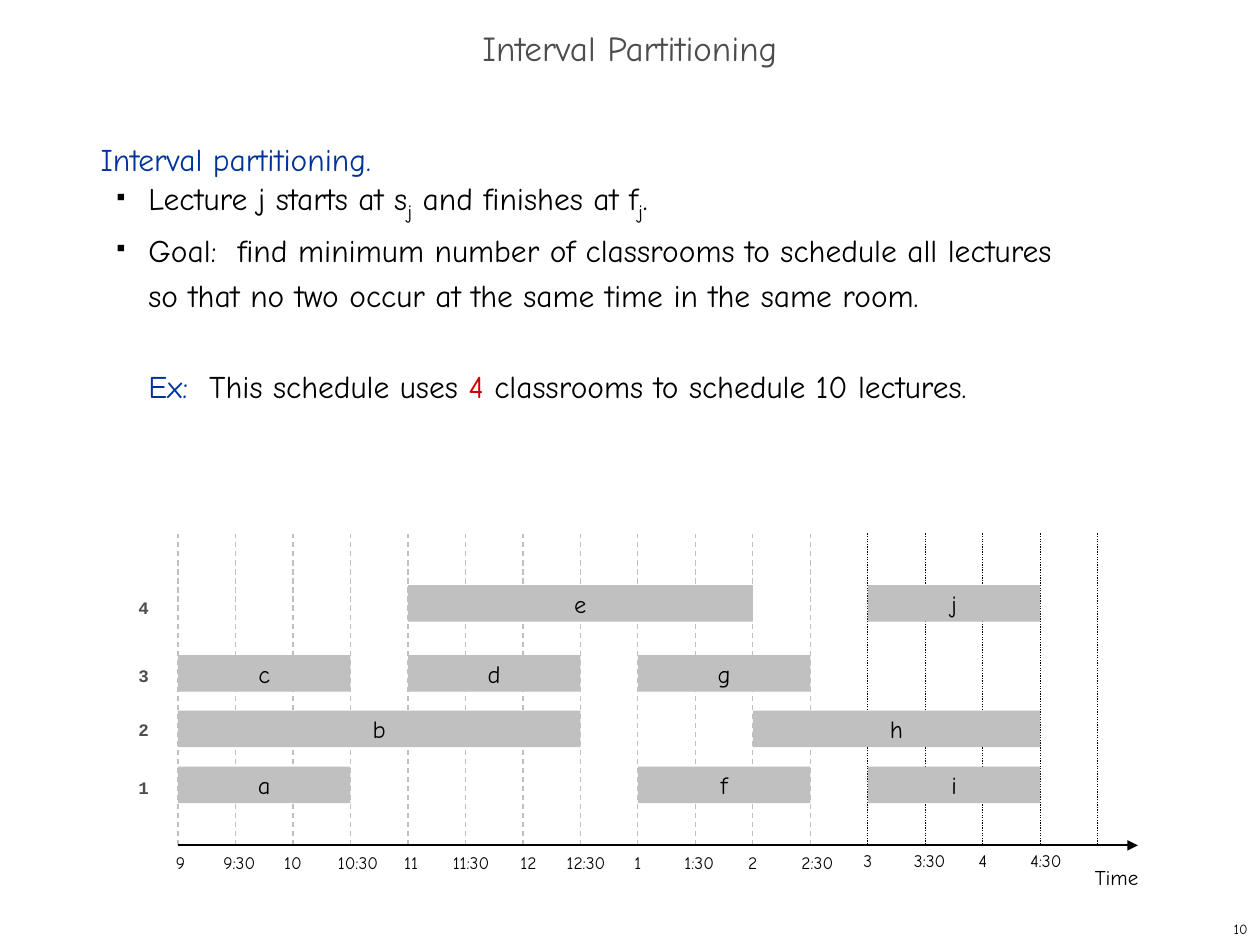
from lxml.etree import SubElement
from pptx import Presentation
from pptx.dml.color import RGBColor
from pptx.enum.dml import MSO_LINE
from pptx.enum.shapes import MSO_CONNECTOR, MSO_SHAPE
from pptx.enum.text import MSO_ANCHOR, PP_ALIGN
from pptx.oxml.ns import qn
from pptx.util import Pt

TITLE = "Interval Partitioning"
BODY = [
    {"runs": [("Interval partitioning.", "heading")]},
    {"margin": 27.36, "bullet": "■", "runs": [
        ("Lecture j starts at s", "body"), ("j", "subscript"),
        (" and finishes at f", "body"), ("j", "subscript"), (".", "body")]},
    {"margin": 27.36, "bullet": "■", "runs": [
        ("Goal:  find minimum number of classrooms to schedule all lectures\v"
         "so that no two occur at the same time in the same room.", "body")]},
    {"margin": 27.36, "before": 26, "runs": [
        ("Ex:  ", "heading"), ("This schedule uses ", "body"), ("4", "accent"),
        (" classrooms to schedule 10 lectures.", "body")]},
]
TIMES = [("9", 1.4), ("9:30", 2.2), ("10", 0), ("10:30", 4.3),
         ("11", 1.8), ("11:30", 3.2), ("12", 3.2), ("12:30", 3.2),
         ("1", 0), ("1:30", 2.2), ("2", 0), ("2:30", 4),
         ("3", 0), ("3:30", 2.5), ("4", 0), ("4:30", 3.2), ("", 0)]
ROOMS = {"1": (438, 440.6), "2": (406.1, 407.5),
         "3": (374.4, 376.6), "4": (334.4, 337.7)}
LECTURES = [("h", "2", 10, 15), ("c", "3", 0, 3), ("b", "2", 0, 7),
            ("a", "1", 0, 3), ("e", "4", 4, 10), ("d", "3", 4, 7),
            ("g", "3", 8, 11), ("f", "1", 8, 11), ("i", "1", 12, 15),
            ("j", "4", 12, 15)]

INK, GRAY, SILVER, BLUE, RED = (
    RGBColor.from_string(code)
    for code in ("000000", "4D4D4D", "C0C0C0", "003399", "CC0000"))
HAND, MONO = "Comic Neue", "Courier New"
THEME = {
    "title": {"name": HAND, "size": Pt(20), "color": GRAY},
    "heading": {"name": HAND, "size": Pt(18), "color": BLUE},
    "body": {"name": HAND, "size": Pt(18), "color": INK},
    "subscript": {"name": HAND, "size": Pt(20), "color": INK},
    "accent": {"name": HAND, "size": Pt(18), "color": RED},
    "lecture": {"name": HAND, "size": Pt(14), "color": INK},
    "axis": {"name": HAND, "size": Pt(12), "color": INK},
    "time": {"name": HAND, "size": Pt(10), "color": INK},
    "room": {"name": MONO, "size": Pt(10), "color": GRAY, "bold": True},
    "page": {"name": HAND, "size": Pt(8), "color": INK},
}
AXIS_LEFT, AXIS_RIGHT, AXIS_Y = 101.7, 650.2, 483.1
GRID_HEIGHT, SLOT, BAR_HEIGHT, TIME_WIDTH = 177.8, 32.85, 20.9, 44
AFTERNOON, AFTERNOON_LIFT = 12, 0.7


def apply(target, values):
    for key, value in values.items():
        setattr(target, key, value)


def style_font(font, role):
    apply(font, {k: v for k, v in THEME[role].items() if k != "color"})
    font.color.rgb = THEME[role]["color"]


def add_run(paragraph, text, role):
    for index, line in enumerate(text.split("\v")):
        if index:
            paragraph.add_line_break()
        run = paragraph.add_run()
        run.text = line
        style_font(run.font, role)
        if role == "subscript":
            run._r.get_or_add_rPr().set("baseline", "-25000")


def add_label(slide, box, text, role, frame=None, paragraph=None):
    label = slide.shapes.add_textbox(*map(Pt, box)).text_frame
    apply(label, {"word_wrap": True, **(frame or {})})
    apply(label.paragraphs[0], paragraph or {})
    if text:
        add_run(label.paragraphs[0], text, role)
    return label


def add_line(slide, start, end, color, width, dash=None):
    line = slide.shapes.add_connector(MSO_CONNECTOR.STRAIGHT,
                                      *map(Pt, (*start, *end)))
    SubElement(line._element.spPr, qn("a:effectLst"))
    apply(line.line, {"width": Pt(width), "dash_style": dash})
    line.line.color.rgb = color
    return line


def add_body(slide):
    frame = add_label(slide, (50.4, 72, 617.8, 426.2), "", "body")
    for index, item in enumerate(BODY):
        paragraph = frame.add_paragraph() if index else frame.paragraphs[0]
        properties = paragraph._p.get_or_add_pPr()
        properties.set("marL", str(int(Pt(item.get("margin", 0)))))
        properties.set("indent", "0")
        apply(paragraph, {"line_spacing": Pt(26),
                          "space_before": Pt(item.get("before", 0))})
        if "bullet" in item:
            properties.set("indent", str(int(Pt(-18))))
            color = SubElement(properties, qn("a:buClr"))
            SubElement(color, qn("a:srgbClr"), val=str(INK))
            SubElement(properties, qn("a:buSzPct"), val="35000")
            SubElement(properties, qn("a:buChar"), char=item["bullet"])
        for text, role in item["runs"]:
            add_run(paragraph, text, role)


def add_grid(slide):
    for slot, (time, nudge) in enumerate(TIMES):
        x = AXIS_LEFT + slot * SLOT
        late = slot >= AFTERNOON
        y = AXIS_Y - AFTERNOON_LIFT * late
        add_line(slide, (x, y), (x, y - GRID_HEIGHT), INK if late else SILVER,
                 0.75, MSO_LINE.ROUND_DOT if late else MSO_LINE.DASH)
        if time:
            add_label(slide, (x + nudge - TIME_WIDTH / 2, y, TIME_WIDTH, 19.4),
                      time, "time", {"word_wrap": False},
                      {"alignment": PP_ALIGN.CENTER})
    axis = add_line(slide, (AXIS_LEFT, AXIS_Y), (AXIS_RIGHT, AXIS_Y), INK, 1.25)
    SubElement(axis.line._get_or_add_ln(), qn("a:tailEnd"), type="triangle")
    add_label(slide, (618.5, 490.3, 51.8, 21.6), "Time", "axis")


def add_lectures(slide):
    for lecture, room, start, end in LECTURES:
        bar = slide.shapes.add_shape(
            MSO_SHAPE.RECTANGLE, Pt(AXIS_LEFT + start * SLOT),
            Pt(ROOMS[room][0]), Pt((end - start) * SLOT), Pt(BAR_HEIGHT))
        bar.shadow.inherit = False
        bar.fill.solid()
        bar.fill.fore_color.rgb = SILVER
        bar.line.fill.background()
        apply(bar.text_frame, {"word_wrap": False,
                               "vertical_anchor": MSO_ANCHOR.MIDDLE})
        paragraph = bar.text_frame.paragraphs[0]
        paragraph.alignment = PP_ALIGN.CENTER
        add_run(paragraph, lecture, "lecture")
    for room, (_, top) in ROOMS.items():
        add_label(slide, (72, top, 20.9, 19.4), room, "room",
                  {"word_wrap": False})


def main():
    deck = Presentation()
    apply(deck, {"slide_width": Pt(720), "slide_height": Pt(540)})
    slide = deck.slides.add_slide(deck.slide_layouts[6])
    middle = {"vertical_anchor": MSO_ANCHOR.MIDDLE}
    add_label(slide, (0, 12.2, 720, 36), TITLE, "title", middle,
              {"alignment": PP_ALIGN.CENTER, "line_spacing": 0.7})
    add_body(slide)
    add_grid(slide)
    add_lectures(slide)
    add_label(slide, (570.2, 522, 149.8, 18), "10", "page", middle,
              {"alignment": PP_ALIGN.RIGHT})
    deck.save("out.pptx")


if __name__ == "__main__":
    main()
